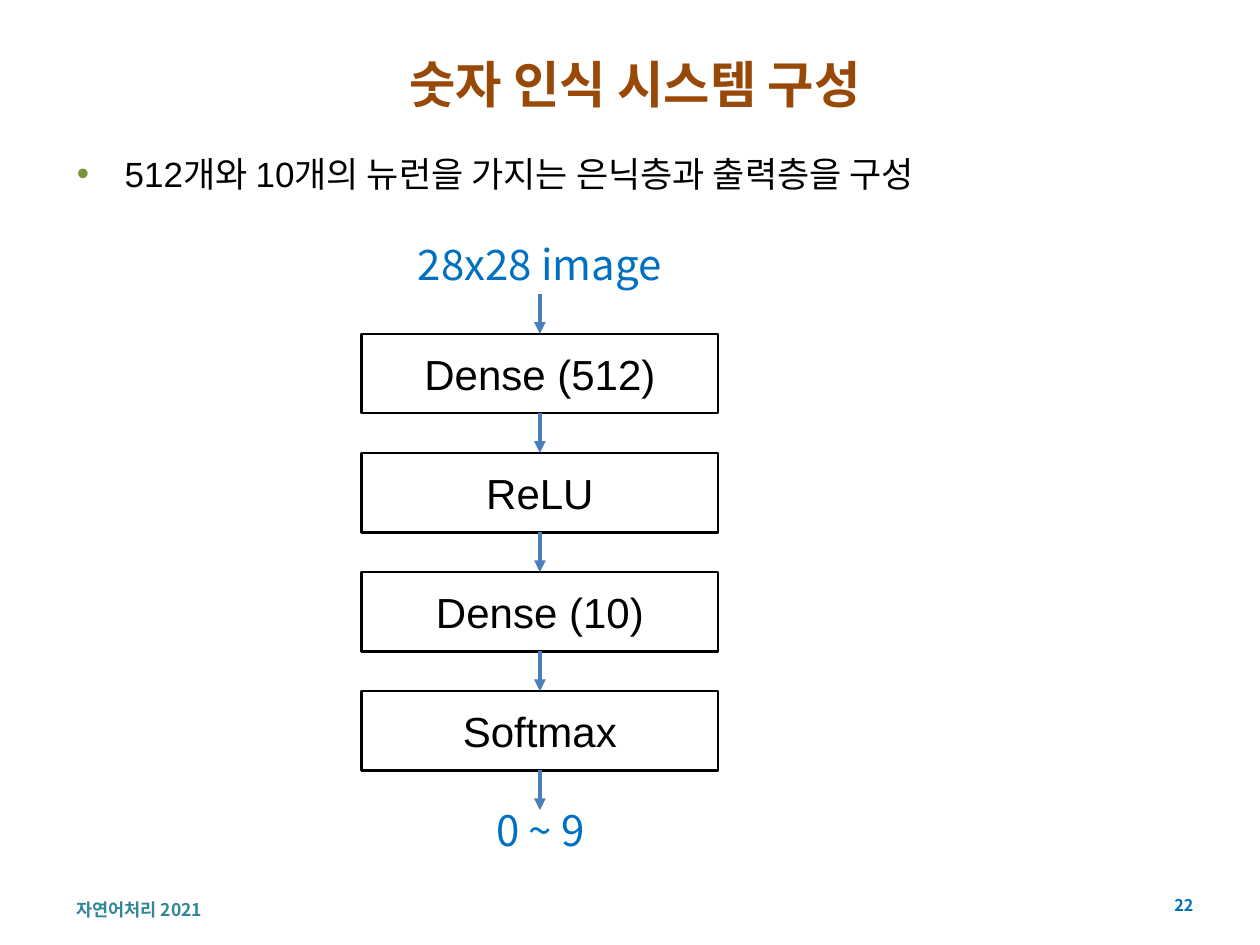
"""Build a slide showing the layers of a digit recognition network."""
from lxml import etree
from pptx import Presentation
from pptx import util as u
from pptx.dml.color import RGBColor
from pptx.enum import shapes, text
from pptx.oxml import ns

HUES = {"title": "984807", "ink": "000000", "blue": "0070C0", "foot": "31859C",
        "dot": "77933C", "arrow": "4B7EBC"}
KOR = "Noto Sans CJK KR"
LEFT, WIDE = 0.51, 9.06
ROW = 0.315
TOP, BOX_L, BOX_W = 2.65, 2.87, 2.83
MID = BOX_L + BOX_W / 2


def write(shape, words, size=24, hue="ink", font=KOR, bold=False,
          align=text.PP_ALIGN.CENTER, anchor=text.MSO_ANCHOR.MIDDLE):
    frame = shape.text_frame
    frame.word_wrap = True
    frame.auto_size = text.MSO_AUTO_SIZE.NONE
    frame.vertical_anchor = anchor
    para = frame.paragraphs[0]
    para.alignment = align
    run = para.add_run()
    run.text = words
    run.font.size = u.Pt(size)
    run.font.bold = bold
    run.font.name = font
    run.font.color.rgb = RGBColor.from_string(HUES[hue])
    add(run.font._element, "a:ea", typeface=KOR)
    return para


def add(parent, tag, **attrs):
    return etree.SubElement(parent, ns.qn(tag), **attrs)


deck = Presentation()
deck.slide_width, deck.slide_height = u.Inches(10), u.Inches(7.5)
slide = deck.slides.add_slide(deck.slide_layouts[1])
parts = slide.shapes

title, body = parts.title, slide.placeholders[1]
for hold, top, high in ((title, 0.36, 0.6), (body, 0.99, 0.79)):
    hold.left, hold.top = u.Inches(LEFT), u.Inches(top)
    hold.width, hold.height = u.Inches(WIDE), u.Inches(high)
write(title, "숫자 인식 시스템 구성", size=28.8, hue="title", bold=True)

para = write(body, "512개와 10개의 뉴런을 가지는 은닉층과 출력층을 구성", size=20, font="Arial",
             align=text.PP_ALIGN.LEFT, anchor=text.MSO_ANCHOR.TOP)
para.line_spacing = 1.5
para.space_before = u.Pt(0)
props = para._p.get_or_add_pPr()
props.set("marL", str(u.Inches(0.38)))
props.set("indent", str(u.Inches(-0.38)))
add(add(props, "a:buClr"), "a:srgbClr", val=HUES["dot"])
add(props, "a:buFont", typeface="Arial")
add(props, "a:buChar", char="•")

labels = [
    ("자연어처리 2021", LEFT, 7.14, 2.6, 0.16,
     dict(size=10, hue="foot", bold=True, align=text.PP_ALIGN.LEFT)),
    ("22", 9.02, 7.06, 0.55, 0.24,
     dict(size=9.2, hue="blue", bold=True, align=text.PP_ALIGN.RIGHT)),
    ("0 ~ 9", 2.99, 6.35, 2.6, 0.47, dict(hue="blue")),
    ("28x28 image", MID - 1.3, 1.86, 2.6, 0.47, dict(hue="blue")),
]
for words, *place, form in labels:
    label = parts.add_textbox(*map(u.Inches, place))
    write(label, words, **form)

stops = [label]
for i, name in enumerate(("Dense (512)", "ReLU", "Dense (10)", "Softmax")):
    box = parts.add_shape(shapes.MSO_SHAPE.RECTANGLE, u.Inches(BOX_L),
                          u.Inches(TOP + 3 * ROW * i), u.Inches(BOX_W), u.Inches(2 * ROW))
    box.shadow.inherit = False
    box.fill.background()
    box.line.color.rgb = RGBColor.from_string(HUES["ink"])
    box.line.width = u.Pt(1.5)
    write(box, name, font="Arial")
    stops.append(box)

for i, stop in enumerate(stops):
    end = TOP + 3 * ROW * i
    arrow = parts.add_connector(shapes.MSO_CONNECTOR.STRAIGHT, u.Inches(MID),
                                u.Inches(end - ROW), u.Inches(MID), u.Inches(end))
    arrow.begin_connect(stop, 2)
    if i + 1 < len(stops):
        arrow.end_connect(stops[i + 1], 0)
    arrow.line.color.rgb = RGBColor.from_string(HUES["arrow"])
    arrow.line.width = u.Pt(2.25)
    add(arrow.line._get_or_add_ln(), "a:tailEnd", type="triangle")
    add(arrow._element.spPr, "a:effectLst")

deck.save("out.pptx")
